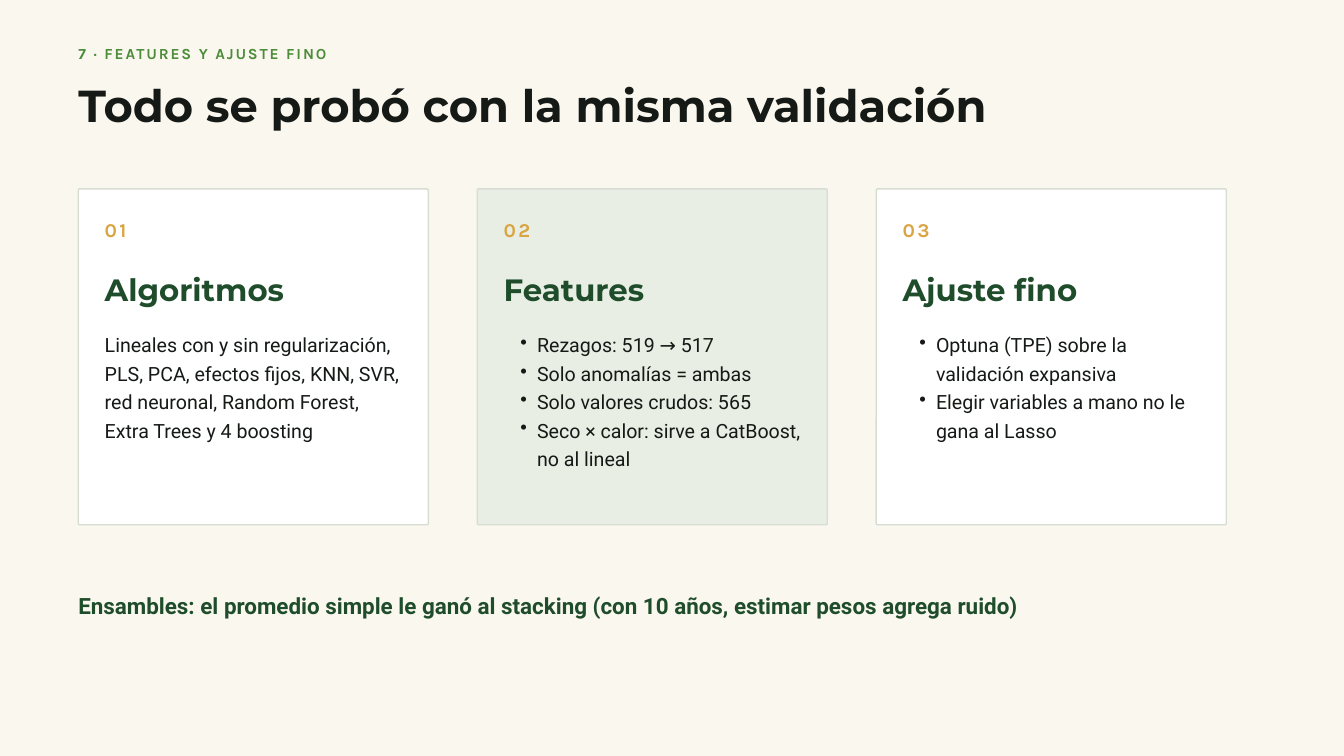
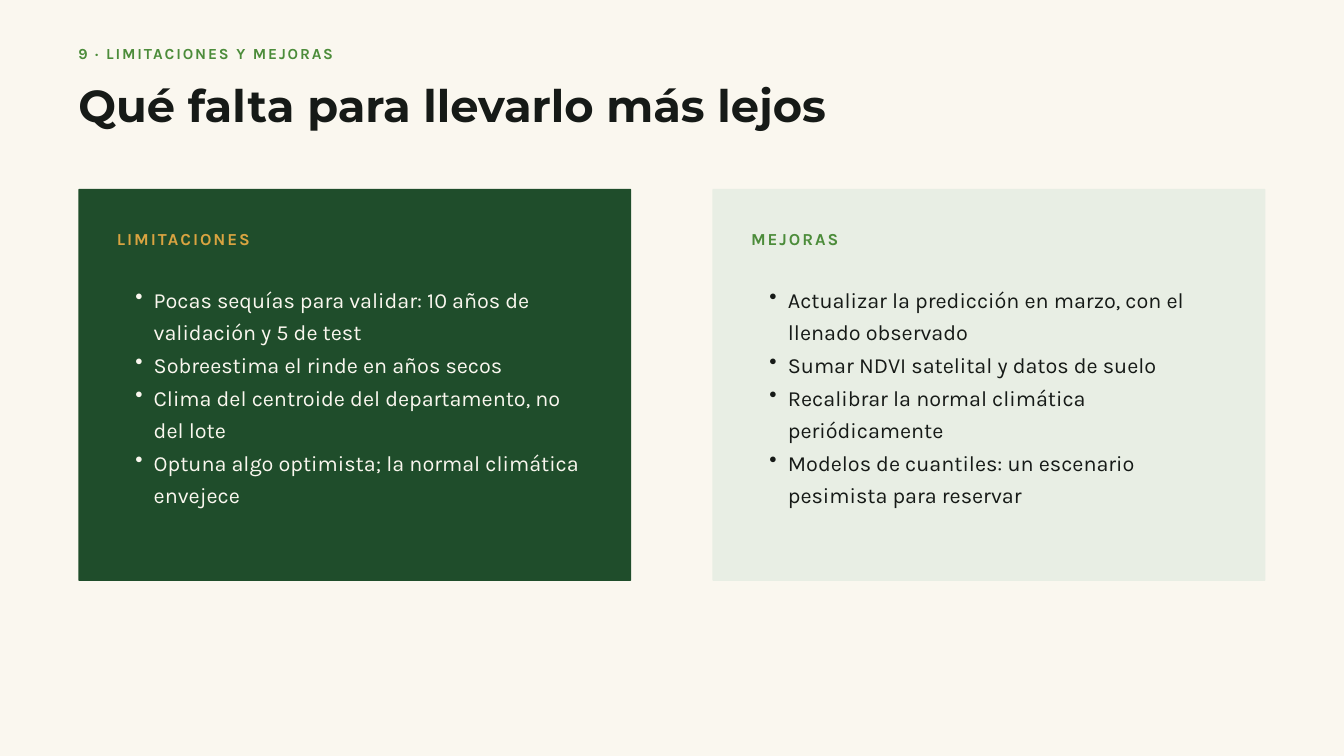
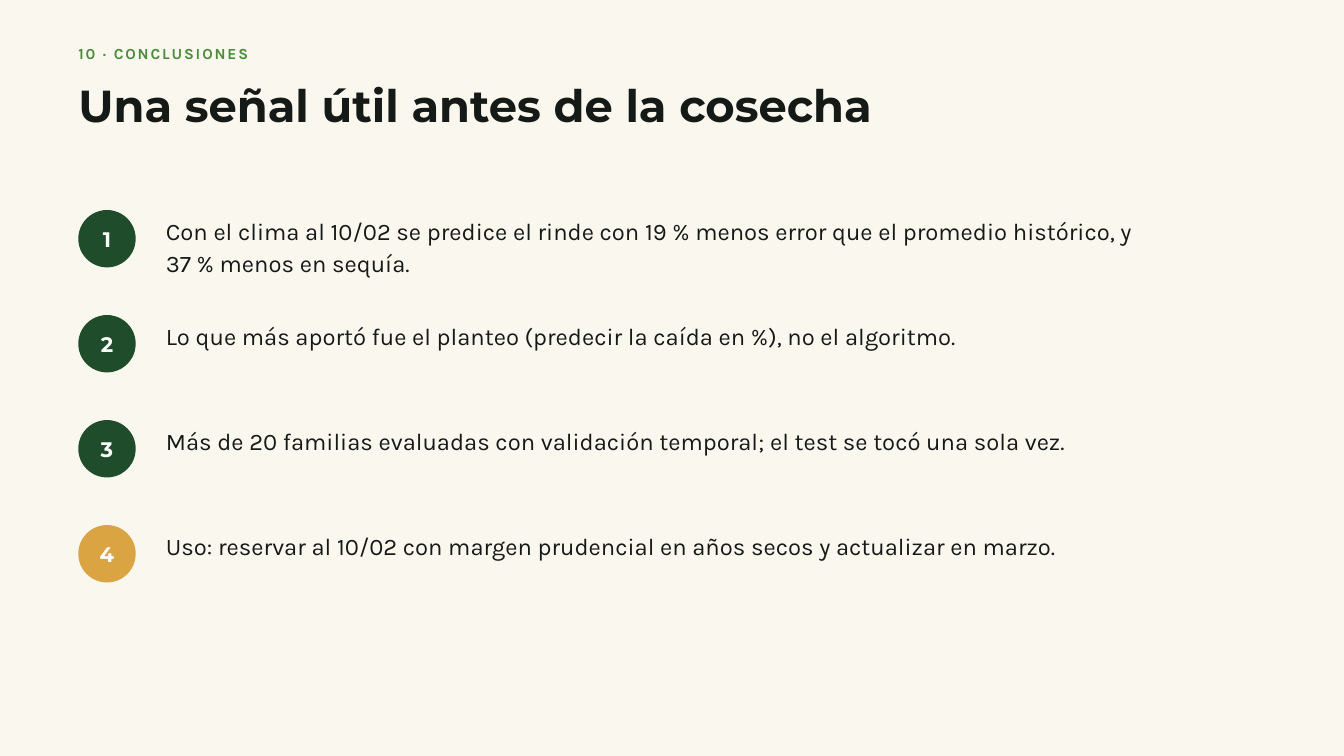
from dataclasses import dataclass
from lxml.etree import SubElement as Sub
from pptx import Presentation
from pptx.dml.color import RGBColor as Rgb
from pptx.enum.shapes import MSO_SHAPE as Kind
from pptx.enum.text import MSO_ANCHOR as Anchor, MSO_AUTO_SIZE as Fit, PP_ALIGN as Align
from pptx.oxml.ns import qn
from pptx.util import Cm, Pt


@dataclass(frozen=True)
class Type:
    font: str
    size: float
    lead: float
    tint: str
    bold: bool = False
    track: float = 0


class Theme:
    paper = "FAF7EF"
    white = "FFFFFF"
    ink = "161A17"
    forest = "1F4D2B"
    leaf = "4C8C3A"
    mist = "E8EEE4"
    gold = "D9A441"
    edge = "D6DDD2"
    left = 2.96
    top = 7.14
    kicker = Type("Karla", 16.5, 23.1, leaf, True, 2)
    title = Type("Montserrat", 48, 49, ink, True)
    index = Type("Karla", 21, 29.4, gold, True, 2.5)
    head = Type("Montserrat", 33, 33.7, forest, True)
    body = Type("Roboto", 21, 30.4, ink)
    note = Type("Roboto", 24, 33.6, forest, True)
    label = Type("Karla", 18, 25.2, leaf, True, 2.1)
    item = Type("Karla", 23.2, 34.9, ink)
    badge = Type("Montserrat", 22.5, 31.5, white, True)
    point = Type("Karla", 25.5, 34.4, ink)


class Deck:
    def __init__(self, theme):
        self.theme = theme
        self.prs = Presentation()
        self.prs.slide_width, self.prs.slide_height = Cm(50.8), Cm(28.58)
        fill = self.prs.slide_master.background.fill
        fill.solid()
        fill.fore_color.rgb = Rgb.from_string(theme.paper)
        self.slide = None

    def page(self, kicker, title):
        look = self.theme
        self.slide = self.prs.slides.add_slide(self.prs.slide_layouts[6])
        self.text(look.left, 1.55, 23.83, 0.76, [kicker], look.kicker)
        self.text(look.left, 3.23, 39.68, 1.75, [title], look.title)

    def run(self, para, line, style, tint=None):
        para.line_spacing = Pt(style.lead)
        run = para.add_run()
        run.text = line
        font = run.font
        font.name, font.size, font.bold = style.font, Pt(style.size), style.bold
        font.color.rgb = Rgb.from_string(tint or style.tint)
        if style.track:
            run._r.get_or_add_rPr().set("spc", str(round(style.track * 100)))

    def dot(self, para, size):
        para.level = 1
        props = para._p.get_or_add_pPr()
        hang = Cm(0.03 * size)
        props.set("marL", str(2 * hang))
        props.set("indent", str(-hang))
        Sub(props, qn("a:buChar"), char="•")

    def text(self, x, y, w, h, lines, style, tint=None, dots=False):
        box = self.slide.shapes.add_textbox(Cm(x), Cm(y), Cm(w), Cm(h))
        frame = box.text_frame
        frame.word_wrap = True
        frame.auto_size = Fit.SHAPE_TO_FIT_TEXT
        frame.margin_left = frame.margin_right = 0
        frame.margin_top = frame.margin_bottom = 0
        for i, line in enumerate(lines):
            para = frame.add_paragraph() if i else frame.paragraphs[0]
            if dots:
                self.dot(para, style.size)
            self.run(para, line, style, tint)

    def shape(self, kind, x, y, w, h, fill, edge=None):
        form = self.slide.shapes.add_shape(kind, Cm(x), Cm(y), Cm(w), Cm(h))
        form.shadow.inherit = False
        form.fill.solid()
        form.fill.fore_color.rgb = Rgb.from_string(fill)
        if edge:
            form.line.color.rgb = Rgb.from_string(edge)
            form.line.width = Pt(1.5)
        else:
            form.line.fill.background()
        return form

    def panel(self, x, w, h, fill, curve, edge=None):
        form = self.shape(Kind.ROUNDED_RECTANGLE, x, self.theme.top, w, h, fill, edge)
        form.adjustments[0] = curve / min(w, h)

    def badge(self, x, y, size, mark, fill):
        frame = self.shape(Kind.OVAL, x, y, size, size, fill).text_frame
        frame.word_wrap = False
        frame.vertical_anchor = Anchor.MIDDLE
        frame.margin_left = frame.margin_right = frame.margin_top = 0
        frame.margin_bottom = Cm(0.1)
        para = frame.paragraphs[0]
        para.alignment = Align.CENTER
        self.run(para, mark, self.theme.badge)


def tuning(deck):
    look = deck.theme
    deck.page("7 · FEATURES Y AJUSTE FINO", "Todo se probó con la misma validación")
    cards = [
        ("Algoritmos", look.white, 4.2, [
            "Lineales con y sin regularización, PLS, PCA, efectos fijos, KNN, SVR, "
            "red neuronal, Random Forest, Extra Trees y 4 boosting"]),
        ("Features", look.mist, 5.26, [
            "Rezagos: 519 → 517",
            "Solo anomalías = ambas",
            "Solo valores crudos: 565",
            "Seco × calor: sirve a CatBoost, no al lineal"]),
        ("Ajuste fino", look.white, 4.2, [
            "Optuna (TPE) sobre la validación expansiva",
            "Elegir variables a mano no le gana al Lasso"]),
    ]
    for i, (head, fill, tall, lines) in enumerate(cards):
        x = look.left + i * 15.08
        deck.panel(x, 13.23, 12.7, fill, 0.06, look.edge)
        deck.text(x + 1, 8.1, 2.64, 1, [f"{i + 1:02}"], look.index)
        deck.text(x + 1, 10.44, 10.58, 1.24, [head], look.head)
        deck.text(x + 1, 12.42, 11.25, tall, lines, look.body, dots=len(lines) > 1)
    deck.text(look.left, 22.2, 44.98, 1.14, [
        "Ensambles: el promedio simple le ganó al stacking "
        "(con 10 años, estimar pesos agrega ruido)"], look.note)


def limits(deck):
    look = deck.theme
    deck.page("9 · LIMITACIONES Y MEJORAS", "Qué falta para llevarlo más lejos")
    panels = [
        ("LIMITACIONES", look.forest, look.gold, look.paper, [
            "Pocas sequías para validar: 10 años de validación y 5 de test",
            "Sobreestima el rinde en años secos",
            "Clima del centroide del departamento, no del lote",
            "Optuna algo optimista; la normal climática envejece"]),
        ("MEJORAS", look.mist, look.leaf, look.ink, [
            "Actualizar la predicción en marzo, con el llenado observado",
            "Sumar NDVI satelital y datos de suelo",
            "Recalibrar la normal climática periódicamente",
            "Modelos de cuantiles: un escenario pesimista para reservar"]),
    ]
    for i, (label, fill, accent, tint, lines) in enumerate(panels):
        x = look.left + i * 23.97
        deck.panel(x, 20.9, 14.82, fill, 0.04)
        deck.text(x + 1.46, 8.51, 17.2, 0.84, [label], look.label, accent)
        deck.text(x + 1.46, 10.59, 17.48, 8.38, lines, look.item, tint, dots=True)


def closing(deck):
    look = deck.theme
    deck.page("10 · CONCLUSIONES", "Una señal útil antes de la cosecha")
    points = [
        ("Con el clima al 10/02 se predice el rinde con 19 % menos error que "
         "el promedio histórico, y 37 % menos en sequía.", look.forest, 2.34),
        ("Lo que más aportó fue el planteo (predecir la caída en %), "
         "no el algoritmo.", look.forest, 1.14),
        ("Más de 20 familias evaluadas con validación temporal; "
         "el test se tocó una sola vez.", look.forest, 1.14),
        ("Uso: reservar al 10/02 con margen prudencial en años secos "
         "y actualizar en marzo.", look.gold, 1.14),
    ]
    for i, (line, fill, tall) in enumerate(points):
        y = 7.94 + i * 3.97
        deck.badge(look.left, y, 2.17, str(i + 1), fill)
        deck.text(6.27, y + 0.13, 37.03, tall, [line], look.point)


def main():
    deck = Deck(Theme())
    for build in (tuning, limits, closing):
        build(deck)
    deck.prs.save("out.pptx")


if __name__ == "__main__":
    main()
